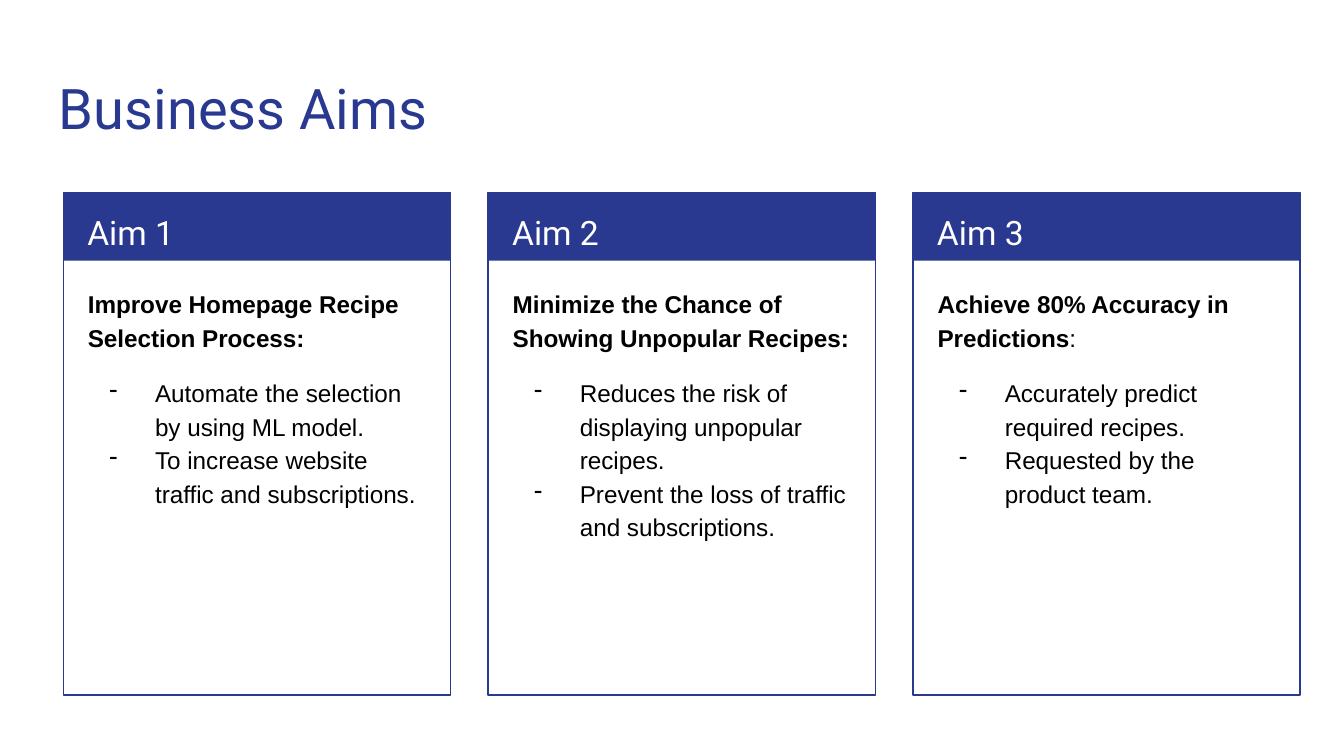
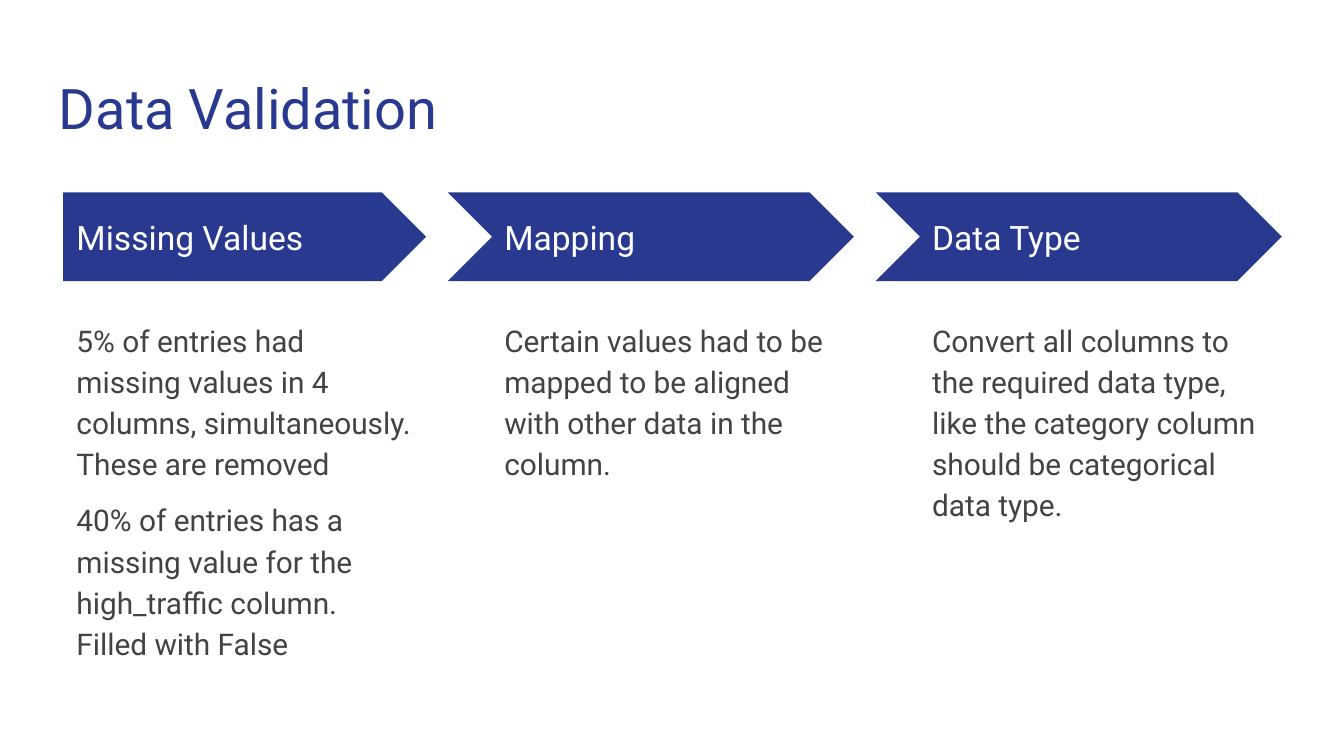
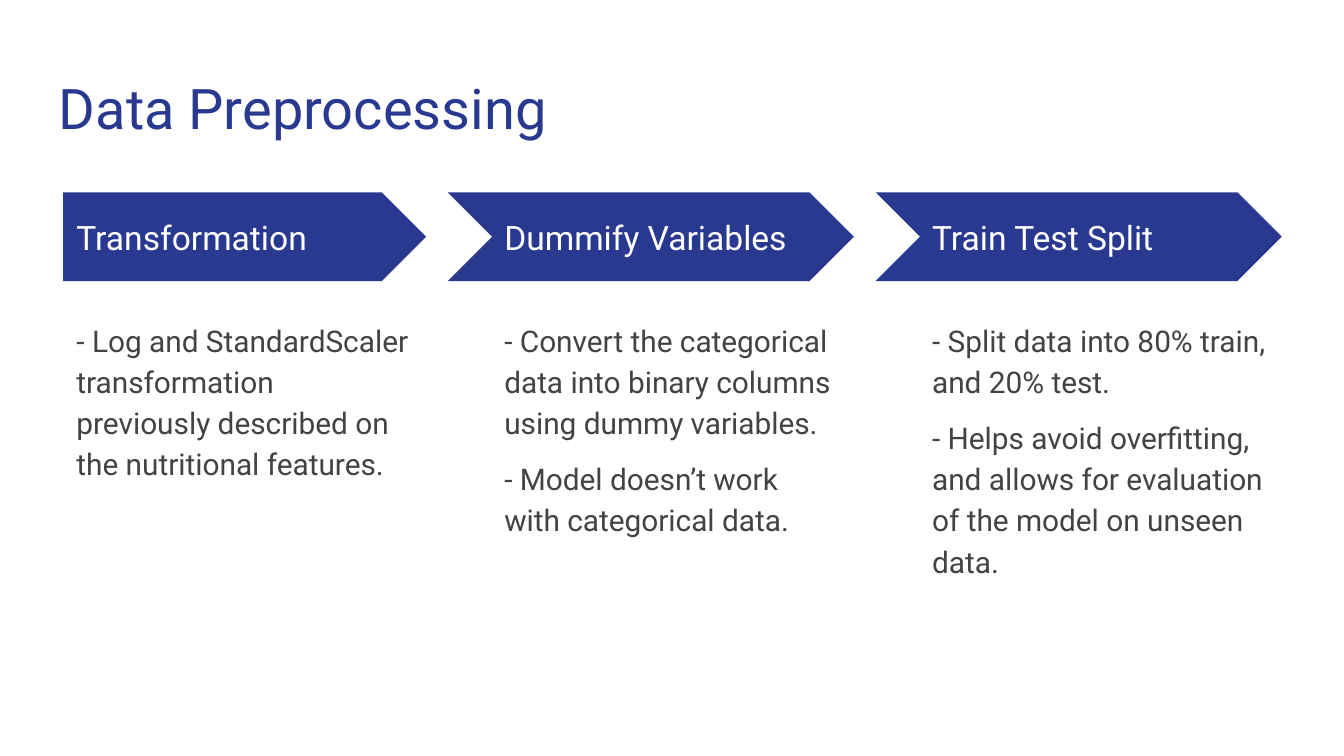
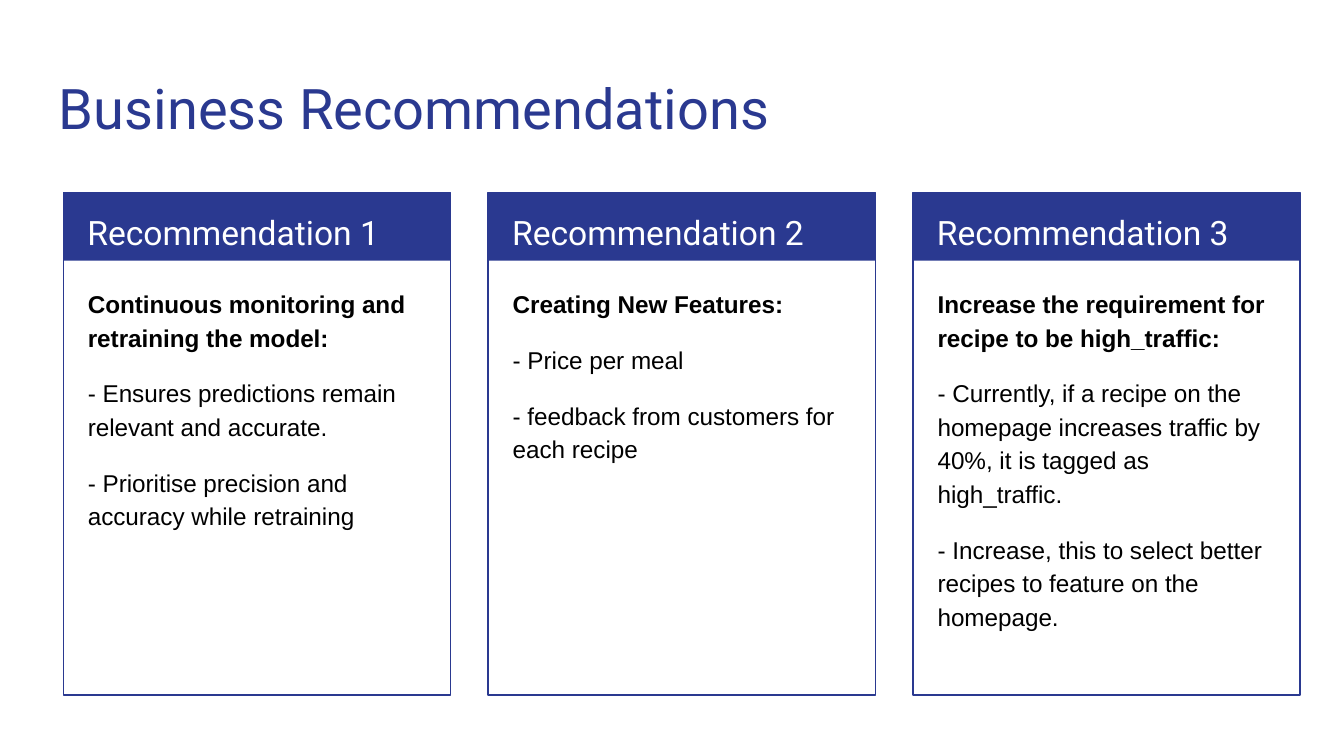
"""Build four slides on recipe traffic: aims, data steps and advice."""
from lxml import etree
from pptx import Presentation
from pptx.dml.color import RGBColor
from pptx.enum.shapes import MSO_SHAPE
from pptx.enum.text import MSO_ANCHOR
from pptx.oxml.ns import qn
from pptx.util import Pt

RECT = MSO_SHAPE.RECTANGLE
PLATE = MSO_SHAPE.PENTAGON
CHEVRON = MSO_SHAPE.CHEVRON
TOP = MSO_ANCHOR.TOP
MIDDLE = MSO_ANCHOR.MIDDLE

BLUE = RGBColor(0x2A, 0x39, 0x90)
WHITE = RGBColor(0xFF, 0xFF, 0xFF)
GRAY = RGBColor(0x43, 0x43, 0x43)
BLACK = RGBColor(0, 0, 0)

LEFT, HEAD = 33.9, 103
INSET = 7.2

AIMS = [
    ("Aim 1", [("Improve Homepage Recipe Selection Process:", ""),
               "Automate the selection by using ML model.",
               "To increase website traffic and subscriptions."]),
    ("Aim 2", [("Minimize the Chance of Showing Unpopular Recipes:", ""),
               "Reduces the risk of displaying unpopular recipes.",
               "Prevent the loss of traffic and subscriptions."]),
    ("Aim 3", [("Achieve 80% Accuracy in Predictions", ":"),
               "Accurately predict required recipes.",
               "Requested by the product team."]),
]
CHECKS = [
    ("Missing Values", [
        "5% of entries had missing values in 4 columns, simultaneously. These are removed",
        "40% of entries has a missing value for the high_traffic column. Filled with False"]),
    ("Mapping", [
        "Certain values had to be mapped to be aligned with other data in the column."]),
    ("Data Type", [
        "Convert all columns to the required data type, like the category column "
        "should be categorical data type."]),
]
STEPS = [
    ("Transformation", [
        "- Log and StandardScaler transformation previously described on "
        "the nutritional features."]),
    ("Dummify Variables", [
        "- Convert the categorical data into binary columns using dummy variables.",
        "- Model doesn’t work with categorical data."]),
    ("Train Test Split", [
        "- Split data into 80% train, and 20% test.",
        "- Helps avoid overfitting, and allows for evaluation of the model on unseen data."]),
]
ADVICE = [
    ("Recommendation 1", [("Continuous monitoring and retraining the model:", ""),
                          "- Ensures predictions remain relevant and accurate.",
                          "- Prioritise precision and accuracy while retraining"]),
    ("Recommendation 2", [("Creating New Features:", ""),
                          "- Price per meal",
                          "- feedback from customers for each recipe"]),
    ("Recommendation 3", [("Increase the requirement for recipe to be high_traffic:", ""),
                          "- Currently, if a recipe on the homepage increases traffic by 40%, "
                          "it is tagged as high_traffic.",
                          "- Increase, this to select better recipes to feature on the homepage."]),
]


def add_dash(para):
    """Give a paragraph a hanging dash bullet."""
    props = para._p.get_or_add_pPr()
    props.set("marL", str(Pt(36)))
    props.set("indent", str(-Pt(24.5)))
    tint = etree.SubElement(props, qn("a:buClr"))
    etree.SubElement(tint, qn("a:srgbClr")).set("val", str(BLACK))
    etree.SubElement(props, qn("a:buChar")).set("char", "-")


def add_text(slide, box, lines, size, color, font="Roboto", space=1.15,
             gap=0, anchor=TOP, dash=False):
    """Write lines in a box; a pair holds a bold part and a plain part."""
    frame = slide.shapes.add_textbox(*map(Pt, box)).text_frame
    frame.word_wrap = True
    frame.vertical_anchor = anchor
    frame.margin_left = frame.margin_right = Pt(INSET)
    frame.margin_top = frame.margin_bottom = Pt(INSET)
    for i, line in enumerate(lines):
        para = frame.add_paragraph() if i else frame.paragraphs[0]
        if dash and i:
            add_dash(para)
        para.line_spacing = space
        if i == 1 or (i and not dash):
            para.space_before = Pt(gap)
        bold, plain = line if isinstance(line, tuple) else ("", line)
        for part, heavy in ((bold, True), (plain, False)):
            if part:
                run = para.add_run()
                run.text = part
                run.font.name = font
                run.font.size = Pt(size)
                run.font.bold = heavy
                run.font.color.rgb = color


def add_block(slide, kind, box, fill=None, line=None):
    """Draw a preset shape, filled or outlined."""
    shape = slide.shapes.add_shape(kind, *map(Pt, box))
    shape.shadow.inherit = False
    if fill is None:
        shape.fill.background()
    else:
        shape.fill.solid()
        shape.fill.fore_color.rgb = fill
    if line is None:
        shape.line.fill.background()
    else:
        shape.line.color.rgb = line
        shape.line.width = Pt(0.75)


def add_card(slide, box, head, lines, dash):
    """Draw a framed card with a header band."""
    x, y, w, h = box
    add_block(slide, RECT, (x, y, w, 36.7), fill=BLUE)
    add_block(slide, RECT, box, line=BLUE)
    add_text(slide, (x + 5.8, y, w - 10.8, 36), [head], 18, WHITE)
    add_text(slide, (x + 6.1, y + 42.5, w - 12.2, h - 49), lines, 13, BLACK,
             font="Arial", gap=12, dash=dash)


def add_step(slide, box, head, lines, lead):
    """Draw an arrow whose tail reaches lead points left, with text below."""
    x, y, w, h = box
    kind = CHEVRON if lead else PLATE
    add_block(slide, kind, (x - lead, y, w + lead, 47.6), fill=BLUE)
    add_text(slide, (x, y + 11.5, w - 16.5, 24.6), [head], 18, WHITE,
             space=1, anchor=MIDDLE)
    add_text(slide, (x, y + 59.7, w, h - 59.7), lines, 16, GRAY, gap=8)


def new_slide(deck, title):
    """Add a blank slide with its title."""
    slide = deck.slides.add_slide(deck.slide_layouts[6])
    add_text(slide, (24.5, 32.4, 671, 47.5), [title], 30, BLUE, space=1)
    return slide


def card_slide(deck, title, cards, dash=False):
    """Add a slide of three cards."""
    slide = new_slide(deck, title)
    for i, (head, lines) in enumerate(cards):
        add_card(slide, (LEFT + 227.6 * i, HEAD, 207.4, 269.3), head, lines, dash)


def step_slide(deck, title, steps):
    """Add a slide of three arrow steps."""
    slide = new_slide(deck, title)
    for i, (head, lines) in enumerate(steps):
        add_step(slide, (LEFT + 229.2 * i, HEAD, 194.4, 268.5), head, lines,
                 23.2 if i else 0)


def main():
    """Build and save the deck."""
    deck = Presentation()
    deck.slide_width, deck.slide_height = Pt(720), Pt(405)
    card_slide(deck, "Business Aims", AIMS, dash=True)
    step_slide(deck, "Data Validation", CHECKS)
    step_slide(deck, "Data Preprocessing", STEPS)
    card_slide(deck, "Business Recommendations", ADVICE)
    deck.save("out.pptx")


if __name__ == "__main__":
    main()
